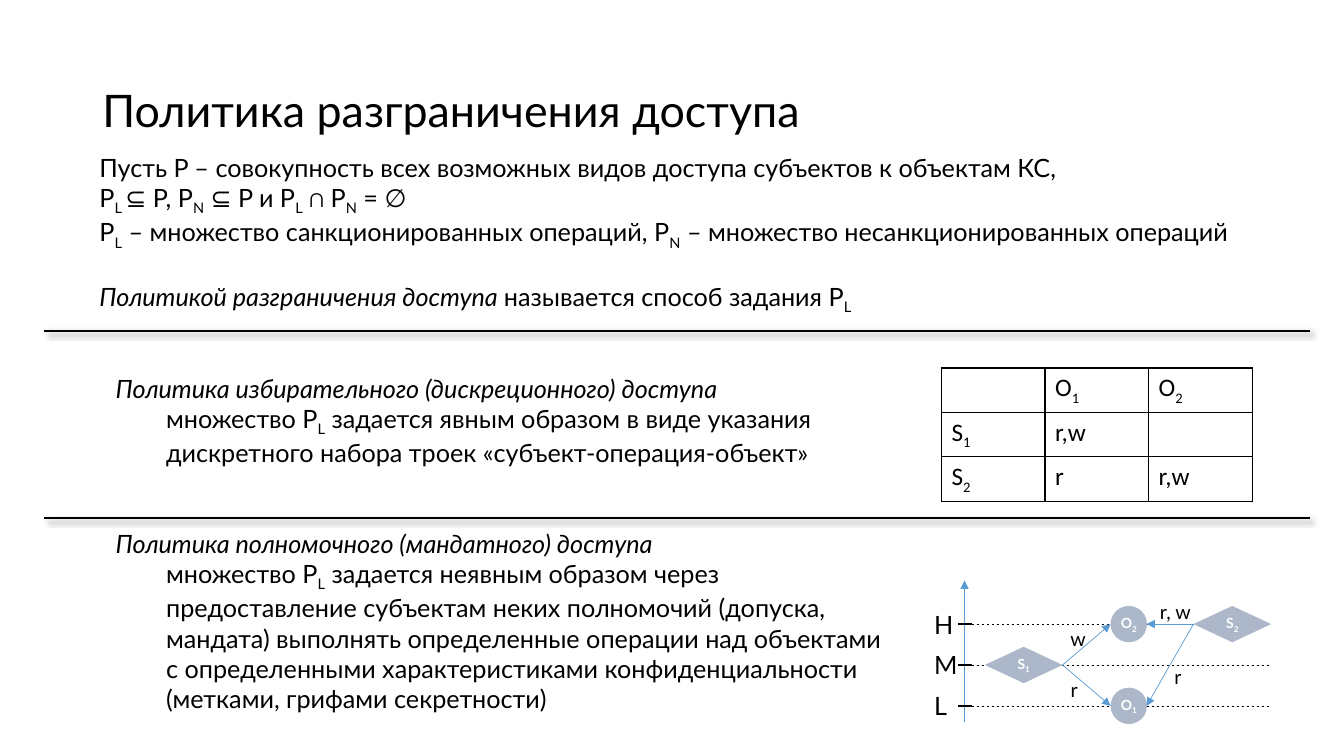
from lxml import etree
from pptx import Presentation
from pptx.dml.color import RGBColor
from pptx.enum import dml, shapes, text
from pptx.oxml import parse_xml
from pptx.oxml.ns import qn
from pptx.util import Pt

BLACK = RGBColor(0, 0, 0)
WHITE = RGBColor(255, 255, 255)
BLUE = RGBColor(0x5B, 0x9B, 0xD5)
GREY = RGBColor(0xAC, 0xB8, 0xCA)
NS = 'xmlns:a="http://schemas.openxmlformats.org/drawingml/2006/main"'
MID = text.MSO_ANCHOR.MIDDLE
CENTER = text.PP_ALIGN.CENTER

deck = Presentation()
deck.slide_width, deck.slide_height = Pt(960), Pt(540)
slide = deck.slides.add_slide(deck.slide_layouts[6])
items = slide.shapes


def write(para, words, size, color=BLACK, face="Lato", align=None):
    """Parts between bars become subscripts."""
    font = para.font
    font.size, font.name = Pt(size), face
    font.color.rgb = color
    para.alignment = align
    for i, part in enumerate(words.split("|")):
        if part:
            run = para.add_run()
            run.text = part
            if i % 2:
                run.font._element.set("baseline", "-25000")


def draw(x1, y1, x2, y2, color=BLACK, width=1.5, arrow=False):
    line = items.add_connector(shapes.MSO_CONNECTOR.STRAIGHT,
                               Pt(x1), Pt(y1), Pt(x2), Pt(y2))
    line.line.color.rgb = color
    line.line.width = Pt(width)
    if arrow:
        etree.SubElement(line.line._get_or_add_ln(), qn("a:tailEnd"), type="triangle")
    etree.SubElement(line._element.spPr, qn("a:effectLst"))
    return line


# Title and text blocks
frames = []
for x, y, w, h in [(66, 28.8, 828, 104.4), (64, 105, 883.5, 131), (75.6, 262.8, 568, 247)]:
    frame = items.add_textbox(Pt(x), Pt(y), Pt(w), Pt(h)).text_frame
    frame.word_wrap = True
    frames.append(frame)
title, intro, kinds = frames
title.vertical_anchor = MID
title.paragraphs[0].line_spacing = 0.9
write(title.paragraphs[0], "Политика разграничения доступа", 32)

# Definitions
facts = [
    "Пусть P – совокупность всех возможных видов доступа субъектов к объектам КС,",
    "P|L |⊆ P, P|N| ⊆ P и P|L| ∩ P|N| = ∅",
    "P|L| – множество санкционированных операций, "
    "P|N| – множество несанкционированных операций",
]
for i, fact in enumerate(facts):
    write(intro.paragraphs[0] if i == 0 else intro.add_paragraph(), fact, 18)
para = intro.add_paragraph()
para.space_before = Pt(21.6)
term = para.add_run()
term.text = "Политикой разграничения доступа "
term.font.italic = True
write(para, "называется способ задания P|L", 18)

# Two kinds of policy
rules = [
    ("Политика избирательного (дискреционного) доступа",
     "множество P|L| задается явным образом в виде указания дискретного набора "
     "троек «субъект-операция-объект»"),
    ("Политика полномочного (мандатного) доступа",
     "множество P|L| задается неявным образом через предоставление субъектам неких "
     "полномочий (допуска, мандата) выполнять определенные операции над объектами "
     "с определенными характеристиками конфиденциальности "
     "(метками, грифами секретности)"),
]
for i, (name, body) in enumerate(rules):
    head = kinds.add_paragraph() if i else kinds.paragraphs[0]
    head.space_before = Pt(43.2 * i)
    head.font.italic = True
    write(head, name, 18)
    para = kinds.add_paragraph()
    para.level = 1
    props = para._element.get_or_add_pPr()
    props.set("marL", str(Pt(36)))
    props.set("indent", "0")
    write(para, body, 18)

# Access matrix
grid = [["", "O|1", "O|2"], ["S|1", "r,w", ""], ["S|2", "r", "r,w"]]
table = items.add_table(3, 3, Pt(672.5), Pt(262.8), Pt(222), Pt(87.9)).table
for r, row in enumerate(grid):
    table.rows[r].height = Pt(29.3)
    for c, words in enumerate(row):
        cell = table.cell(r, c)
        write(cell.text_frame.paragraphs[0], words, 18, face="Calibri")
        props = cell._tc.get_or_add_tcPr()
        for side in "LRTB":
            props.append(parse_xml(
                f'<a:ln{side} {NS} w="12700"><a:solidFill><a:srgbClr val="000000"/>'
                f'</a:solidFill></a:ln{side}>'))
        cell.fill.background()

# Level axis
levels = {name: 445.8 + 29.2 * i for i, name in enumerate("HML")}
draw(689, 516, 689, 414.7, BLUE, 0.5, True)
for y in levels.values():
    draw(694, y, 684, y)
    draw(694, y, 906.5, y, width=0.5).line.dash_style = dml.MSO_LINE.DASH

# Subjects and objects
DIAMOND = shapes.MSO_SHAPE.FLOWCHART_DECISION
OVAL = shapes.MSO_SHAPE.OVAL
for kind, words, x, level, w in [(DIAMOND, "S|1", 703.5, "M", 55.5),
                                 (OVAL, "O|1", 793.3, "L", 26),
                                 (DIAMOND, "S|2", 852.5, "H", 55.5),
                                 (OVAL, "O|2", 793.3, "H", 26)]:
    node = items.add_shape(kind, Pt(x), Pt(levels[level] - 13), Pt(w), Pt(26))
    node.shadow.inherit = False
    node.fill.solid()
    node.fill.fore_color.rgb = GREY
    node.line.fill.background()
    frame = node.text_frame
    frame.vertical_anchor = MID
    if kind == OVAL:
        frame.margin_left = frame.margin_right = 0
        frame.margin_top = frame.margin_bottom = 0
    frame.paragraphs[0].font.bold = True
    write(frame.paragraphs[0], words, 10, WHITE, align=CENTER)

# Access arrows
for x1, start, x2, end in [(759, "M", 793.3, "L"), (759, "M", 793.3, "H"),
                           (852.5, "H", 819, "H"), (852.5, "H", 819, "L")]:
    draw(x1, levels[start], x2, levels[end], BLUE, 0.5, True)

# Level and arrow labels
marks = [(name, 660.2, y - 14.4, 21, 18) for name, y in levels.items()]
marks += [("r", 756.7, 481, 21, 14), ("w", 757.4, 444.2, 21, 14),
          ("r, w", 820.8, 424.8, 37.5, 14), ("r", 830.9, 471.6, 21, 14)]
for words, x, y, w, size in marks:
    frame = items.add_textbox(Pt(x), Pt(y), Pt(w), Pt(size * 1.2 + 7.2)).text_frame
    frame.word_wrap = True
    write(frame.paragraphs[0], words, size, align=CENTER)

# Section rules with soft shadow
for y in (236.2, 370):
    rule = draw(31.7, y, 936, y)
    rule._element.spPr.find(qn("a:effectLst")).append(parse_xml(
        f'<a:outerShdw {NS} blurRad="{Pt(4)}" dist="{Pt(3)}" dir="2700000" algn="tl" '
        'rotWithShape="0"><a:srgbClr val="000000"><a:alpha val="40000"/></a:srgbClr>'
        '</a:outerShdw>'))

deck.save("out.pptx")
